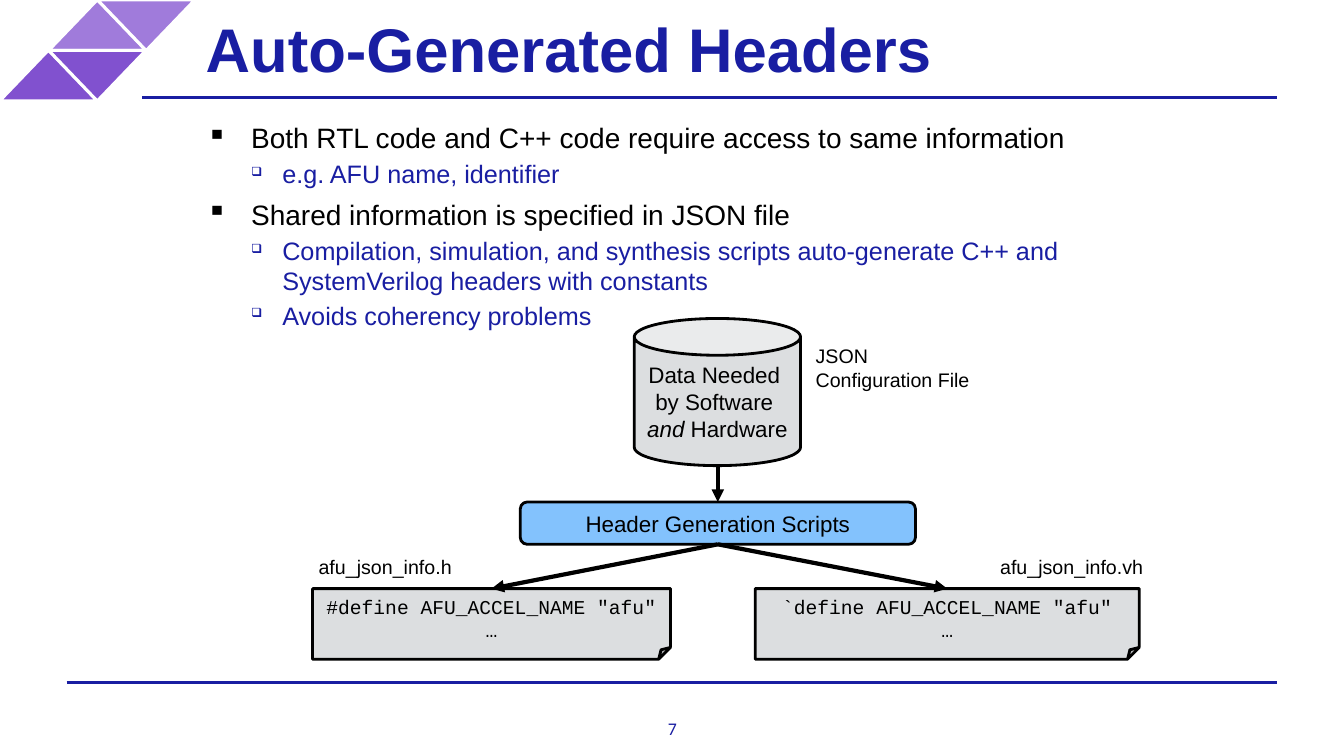
from dataclasses import dataclass
from typing import Any, Optional

from lxml.etree import SubElement
from pptx import Presentation
from pptx.dml.color import RGBColor
from pptx.enum.shapes import MSO_CONNECTOR, MSO_SHAPE
from pptx.enum.text import MSO_ANCHOR, PP_ALIGN
from pptx.oxml.ns import qn
from pptx.util import Inches, Pt


@dataclass(frozen=True)
class Theme:
    navy: str = "191EA2"
    black: str = "000000"
    white: str = "FFFFFF"
    lilac: str = "A07BDB"
    purple: str = "8151CF"
    gray: str = "DCDEE0"
    sky: str = "83C2FD"
    sans: str = "Arial"
    mono: str = "Courier New"
    digit: str = "Calibri"
    title: float = 44
    point: float = 20
    detail: float = 18
    node: float = 16
    label: float = 14
    number: float = 12.7


@dataclass(frozen=True)
class Run:
    text: str
    slant: bool = False


@dataclass(frozen=True)
class Style:
    size: float
    color: str = Theme.black
    face: str = Theme.sans
    bold: bool = False


@dataclass(frozen=True)
class Box:
    left: float
    top: float
    width: float
    height: float


@dataclass(frozen=True)
class Node:
    name: str
    kind: MSO_SHAPE
    box: Box
    fill: str
    style: Style
    lines: tuple[tuple[Run, ...], ...]


@dataclass(frozen=True)
class Label:
    box: Box
    style: Style
    lines: tuple[str, ...]
    pad: float = 0.06
    anchor: MSO_ANCHOR = MSO_ANCHOR.MIDDLE
    align: PP_ALIGN = PP_ALIGN.LEFT
    wrap: bool = True


@dataclass(frozen=True)
class Level:
    style: Style
    mark: str
    scale: int
    indent: float
    hang: float
    gap: float


@dataclass(frozen=True)
class Arrow:
    start: tuple[float, float]
    end: tuple[float, float]
    source: Optional[str]
    target: str


T = Theme()
CODE = Style(T.label, face=T.mono)
NODE = Style(T.node)
NOTE = Style(T.label)
FOLD = MSO_SHAPE.FOLDED_CORNER

LEVELS = (
    Level(Style(T.point), "▪", 100, 0.5, 0.44, 6),
    Level(Style(T.detail, T.navy), "❑", 50, 0.81, 0.31, 3),
)
POINTS = (
    (0, "Both RTL code and C++ code require access to same information"),
    (1, "e.g. AFU name, identifier"),
    (0, "Shared information is specified in JSON file"),
    (1, "Compilation, simulation, and synthesis scripts auto-generate C++ and "
        "SystemVerilog headers with constants"),
    (1, "Avoids coherency problems"),
)
NODES = (
    Node("data", MSO_SHAPE.CAN, Box(6.29, 3.16, 1.65, 1.46), T.gray, NODE,
         ((Run("Data Needed "),), (Run("by Software "),),
          (Run("and", True), Run(" Hardware")))),
    Node("soft", FOLD, Box(3.1, 5.84, 3.55, 0.7), T.gray, CODE,
         ((Run('#define AFU_ACCEL_NAME "afu"'),), (Run("…"),))),
    Node("hard", FOLD, Box(7.49, 5.84, 3.81, 0.7), T.gray, CODE,
         ((Run('`define AFU_ACCEL_NAME "afu"'),), (Run("…"),))),
    Node("scripts", MSO_SHAPE.ROUNDED_RECTANGLE, Box(5.16, 4.98, 3.92, 0.42),
         T.sky, NODE, ((Run("Header Generation Scripts"),),)),
)
ARROWS = (
    Arrow((7.12, 4.62), (7.12, 4.98), None, "scripts"),
    Arrow((7.12, 5.4), (4.87, 5.84), "scripts", "soft"),
    Arrow((7.12, 5.4), (9.39, 5.84), "scripts", "hard"),
)
LABELS = (
    Label(Box(1.9, 0, 9.95, 0.95), Style(T.title, T.navy, bold=True),
          ("Auto-Generated Headers",), 0.14),
    Label(Box(6.62, 7.12, 0.1, 0.21), Style(T.number, T.navy, T.digit),
          ("7",), 0, MSO_ANCHOR.TOP, PP_ALIGN.CENTER, False),
    Label(Box(3.1, 5.45, 2.11, 0.35), NOTE, ("afu_json_info.h",)),
    Label(Box(9.86, 5.45, 1.77, 0.35), NOTE, ("afu_json_info.vh",)),
    Label(Box(8.03, 3.36, 1.83, 0.58), NOTE, ("JSON", "Configuration File")),
)


def put(item: Any, values: dict[str, Any]) -> None:
    for key, value in values.items():
        setattr(item, key, value)


def place(box: Box) -> tuple[int, ...]:
    return tuple(Inches(n) for n in (box.left, box.top, box.width, box.height))


def paint(shape: Any, fill: str, edge: str) -> None:
    shape.shadow.inherit = False
    shape.fill.solid()
    shape.fill.fore_color.rgb = RGBColor.from_string(fill)
    shape.line.color.rgb = RGBColor.from_string(edge)
    shape.line.width = Pt(2)


def frame(shape: Any, pad: float, anchor: MSO_ANCHOR, wrap: bool = True) -> None:
    sides = ("left", "top", "right", "bottom")
    put(shape.text_frame, {f"margin_{side}": Inches(pad) for side in sides}
        | {"vertical_anchor": anchor, "word_wrap": wrap})


def write(para: Any, runs: tuple[Run, ...], style: Style) -> None:
    for part in runs:
        run = para.add_run()
        run.text = part.text
        put(run.font, {"name": style.face, "size": Pt(style.size),
                       "bold": style.bold, "italic": part.slant})
        run.font.color.rgb = RGBColor.from_string(style.color)


def add_para(shape: Any, index: int) -> Any:
    text = shape.text_frame
    return text.add_paragraph() if index else text.paragraphs[0]


def add_label(shapes: Any, label: Label) -> None:
    shape = shapes.add_textbox(*place(label.box))
    frame(shape, label.pad, label.anchor, label.wrap)
    for index, line in enumerate(label.lines):
        para = add_para(shape, index)
        para.alignment = label.align
        write(para, (Run(line),), label.style)


def add_node(shapes: Any, node: Node) -> Any:
    shape = shapes.add_shape(node.kind, *place(node.box))
    paint(shape, node.fill, T.black)
    frame(shape, 0.06, MSO_ANCHOR.MIDDLE)
    for index, runs in enumerate(node.lines):
        para = add_para(shape, index)
        para.alignment = PP_ALIGN.CENTER
        write(para, runs, node.style)
    return shape


def add_points(shapes: Any) -> None:
    shape = shapes.add_textbox(*place(Box(1.99, 1.2, 8.99, 2.12)))
    frame(shape, 0, MSO_ANCHOR.TOP)
    for index, (depth, text) in enumerate(POINTS):
        level = LEVELS[depth]
        para = add_para(shape, index)
        put(para, {"level": depth, "space_before": Pt(level.gap)})
        props = para._p.get_or_add_pPr()
        props.set("marL", str(Inches(level.indent)))
        props.set("indent", str(-Inches(level.hang)))
        SubElement(props, qn("a:buSzPct")).set("val", str(level.scale * 1000))
        SubElement(props, qn("a:buChar")).set("char", level.mark)
        write(para, (Run(text),), level.style)


def add_line(shapes: Any, start: tuple[float, float], end: tuple[float, float],
             color: str, width: float, head: bool = False) -> Any:
    ends = (Inches(n) for n in start + end)
    line = shapes.add_connector(MSO_CONNECTOR.STRAIGHT, *ends)
    line.line.color.rgb = RGBColor.from_string(color)
    line.line.width = Pt(width)
    props = line._element.spPr
    if head:
        SubElement(props.find(qn("a:ln")), qn("a:tailEnd")).set("type", "triangle")
    SubElement(props, qn("a:effectLst"))
    return line


def add_corner(shapes: Any) -> None:
    group = shapes.add_group_shape()
    for row, color in enumerate((T.lilac, T.purple)):
        for col in range(2):
            box = Box(0.485 * (1 - row + col), 0.5 * row, 0.96, 0.5)
            shape = group.shapes.add_shape(MSO_SHAPE.ISOSCELES_TRIANGLE, *place(box))
            paint(shape, color, T.white)
            shape.rotation = 180 * col


def main() -> None:
    deck = Presentation()
    put(deck, {"slide_width": Inches(13.33), "slide_height": Inches(7.5)})
    shapes = deck.slides.add_slide(deck.slide_layouts[6]).shapes
    add_corner(shapes)
    for left, top in ((0.66, 6.77), (1.41, 0.97)):
        add_line(shapes, (left, top), (12.67, top), T.navy, 2)
    add_points(shapes)
    nodes = {node.name: add_node(shapes, node) for node in NODES}
    for arrow in ARROWS:
        line = add_line(shapes, arrow.start, arrow.end, T.black, 3, True)
        if arrow.source:
            line.begin_connect(nodes[arrow.source], 2)
        line.end_connect(nodes[arrow.target], 0)
    for label in LABELS:
        add_label(shapes, label)
    deck.save("out.pptx")


if __name__ == "__main__":
    main()
